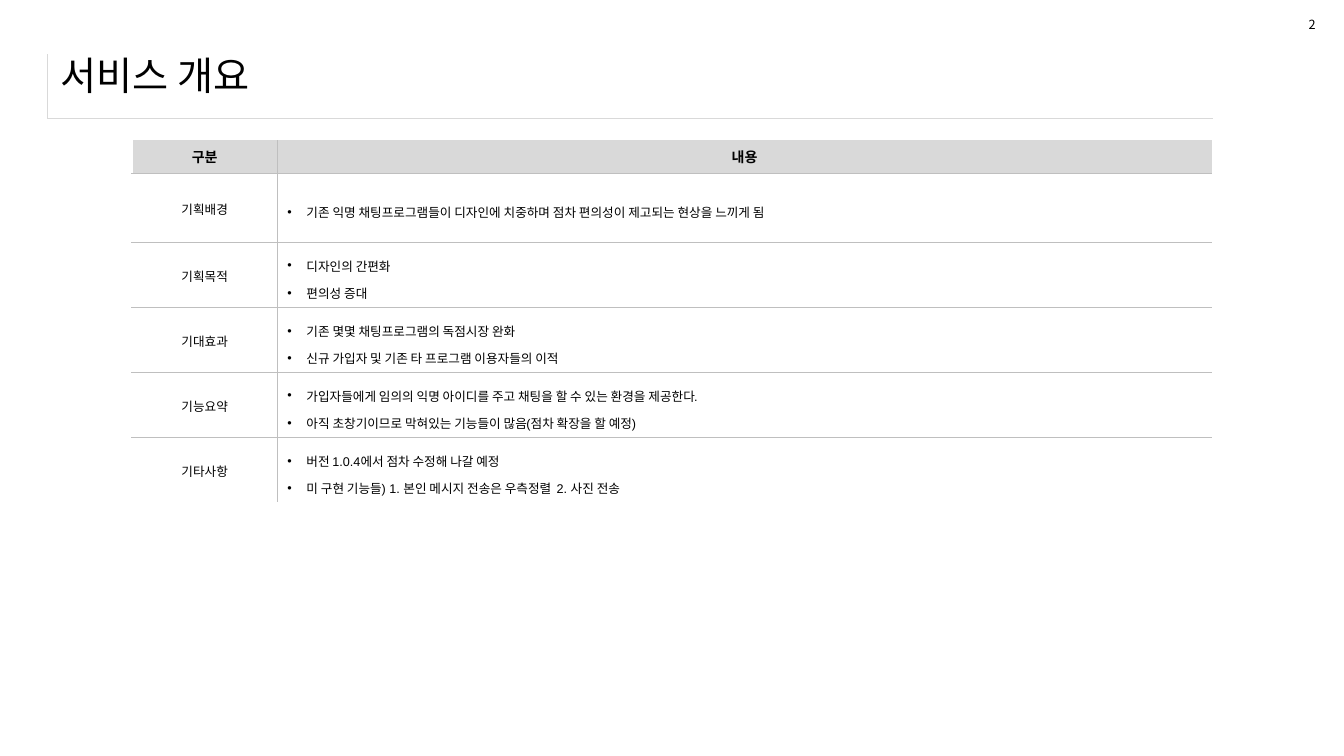
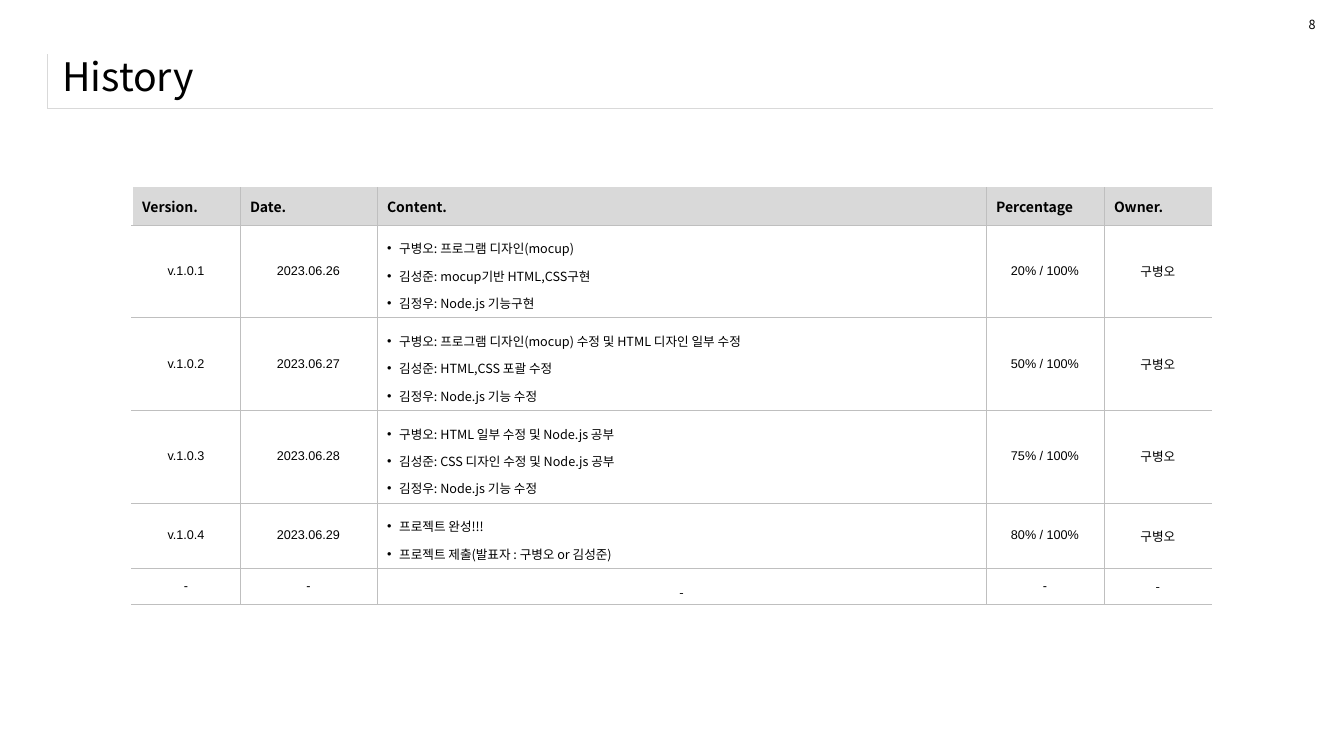
from lxml.etree import SubElement
from pptx import Presentation
from pptx.dml.color import RGBColor
from pptx.enum.text import MSO_ANCHOR, PP_ALIGN
from pptx.oxml.ns import qn
from pptx.util import Inches, Pt

# Shared style
INK, RULE, GRID, HEADER, PAPER = "000000", "D9D9D9", "BFBFBF", "D9D9D9", "FFFFFF"
SANS, ARIAL = "Noto Sans CJK KR", "Arial"
LEFT, CENTER, JUSTIFY = PP_ALIGN.LEFT, PP_ALIGN.CENTER, PP_ALIGN.JUSTIFY
TABLE_LEFT = 1.31
FRAME_LEFT, FRAME_TOP, FRAME_WIDTH = 0.47, 0.54, 11.56

# Content: a list in a cell is bulleted, a string is centred
OVERVIEW = {
    "title": "서비스 개요", "title_box": (0.5, 0.41, 12.49, 0.67),
    "page": "2", "frame_height": 0.63,
    "top": 1.39, "widths": [1.44, 9.27],
    "heights": [0.33, 0.68, 0.65, 0.64, 0.65, 0.64],
    "fonts": [ARIAL, ARIAL], "header_align": CENTER, "label_spacing": 1.2,
    "bullet_indent": 0.19, "bullet_align": JUSTIFY, "closed": False,
    "rows": [
        ("구분", "내용"),
        ("기획배경", ["기존 익명 채팅프로그램들이 디자인에 치중하며 점차 편의성이 제고되는 현상을 느끼게 됨"]),
        ("기획목적", ["디자인의 간편화", "편의성 증대"]),
        ("기대효과", ["기존 몇몇 채팅프로그램의 독점시장 완화",
                  "신규 가입자 및 기존 타 프로그램 이용자들의 이적"]),
        ("기능요약", ["가입자들에게 임의의 익명 아이디를 주고 채팅을 할 수 있는 환경을 제공한다.",
                  "아직 초창기이므로 막혀있는 기능들이 많음(점차 확장을 할 예정)"]),
        ("기타사항", ["버전 1.0.4에서 점차 수정해 나갈 예정",
                  "미 구현 기능들) 1. 본인 메시지 전송은 우측정렬  2. 사진 전송"]),
    ],
}
HISTORY = {
    "title": "History", "title_box": (0.52, 0.44, 12.49, 0.63),
    "page": "8", "frame_height": 0.53,
    "top": 1.86, "widths": [1.07, 1.36, 6.04, 1.17, 1.07],
    "heights": [0.37, 0.92, 0.92, 0.92, 0.65, 0.35],
    "fonts": [ARIAL, ARIAL, SANS, ARIAL, SANS], "header_align": LEFT, "label_spacing": 1,
    "bullet_indent": 0.12, "bullet_align": LEFT, "closed": True,
    "rows": [
        ("Version.", "Date.", "Content.", "Percentage", "Owner."),
        ("v.1.0.1", "2023.06.26",
         ["구병오: 프로그램 디자인(mocup)", "김성준: mocup기반 HTML,CSS구현", "김정우: Node.js 기능구현"],
         "20% / 100%", "구병오"),
        ("v.1.0.2", "2023.06.27",
         ["구병오: 프로그램 디자인(mocup) 수정 및 HTML 디자인 일부 수정",
          "김성준: HTML,CSS 포괄 수정", "김정우: Node.js 기능 수정"],
         "50% / 100%", "구병오"),
        ("v.1.0.3", "2023.06.28",
         ["구병오: HTML 일부 수정 및 Node.js 공부", "김성준: CSS 디자인 수정 및 Node.js 공부",
          "김정우: Node.js 기능 수정"],
         "75% / 100%", "구병오"),
        ("v.1.0.4", "2023.06.29",
         ["프로젝트 완성!!!", "프로젝트 제출(발표자 : 구병오 or 김성준)"],
         "80% / 100%", "구병오"),
        ("-", "-", "-", "-", "-"),
    ],
}


def color(value):
    return RGBColor.from_string(value)


def write(frame, lines, size=9, font=SANS, bold=False, align=LEFT, spacing=1, indent=None):
    """Fill a text frame, one paragraph a line; an indent adds bullets."""
    for i, line in enumerate(lines):
        para = frame.add_paragraph() if i else frame.paragraphs[0]
        para.alignment, para.line_spacing = align, spacing
        if indent:
            props = para._p.get_or_add_pPr()
            props.set("marL", str(Inches(indent)))
            props.set("indent", str(-Inches(indent)))
            SubElement(props, qn("a:buFont"), typeface=ARIAL)
            SubElement(props, qn("a:buChar"), char="•")
        run = para.add_run()
        run.text = line
        run.font.size, run.font.bold, run.font.name = Pt(size), bold, font
        run.font.color.rgb = color(INK)
        run_props = run._r.get_or_add_rPr()
        run_props.set("kern", "0")
        SubElement(run_props, qn("a:ea"), typeface=SANS)


def add_text(slide, box, text, wrap=True, anchor=MSO_ANCHOR.TOP, **style):
    frame = slide.shapes.add_textbox(*map(Inches, box)).text_frame
    frame.word_wrap, frame.vertical_anchor = wrap, anchor
    write(frame, [text], **style)


def add_table(slide, left, top, widths, heights):
    area = (left, top, sum(widths), sum(heights))
    table = slide.shapes.add_table(len(heights), len(widths), *map(Inches, area)).table
    table.first_row = table.horz_banding = False
    for column, width in zip(table.columns, widths):
        column.width = Inches(width)
    for row, height in zip(table.rows, heights):
        row.height = Inches(height)
    return table


def style_cell(cell, fill=None, **sides):
    """Each side is (colour, points); a side left out or None has no line."""
    props = cell._tc.get_or_add_tcPr()
    for side in "LRTB":
        line = SubElement(props, qn(f"a:ln{side}"))
        if sides.get(side):
            value, width = sides[side]
            line.set("w", str(Pt(width)))
            paint = SubElement(line, qn("a:solidFill"))
            SubElement(paint, qn("a:srgbClr"), val=value)
        else:
            SubElement(line, qn("a:noFill"))
    if fill:
        cell.fill.solid()
        cell.fill.fore_color.rgb = color(fill)
    else:
        cell.fill.background()


def add_grid(slide, page):
    rows, widths = page["rows"], page["widths"]
    table = add_table(slide, TABLE_LEFT, page["top"], widths, page["heights"])
    last_row, last_col = len(rows) - 1, len(widths) - 1
    thin = (GRID, 0.25)
    for r, row in enumerate(rows):
        for c, content in enumerate(row):
            cell = table.cell(r, c)
            cell.vertical_anchor = MSO_ANCHOR.MIDDLE
            style_cell(cell, fill=None if r else HEADER,
                       L=thin if c else (PAPER, 1),
                       R=thin if c < last_col else None,
                       T=thin if r else None,
                       B=thin if r < last_row or page["closed"] else None)
            if r == 0:
                write(cell.text_frame, [content], size=10, bold=True, align=page["header_align"])
            elif isinstance(content, list):
                write(cell.text_frame, content, font=page["fonts"][c], spacing=1.5,
                      align=page["bullet_align"], indent=page["bullet_indent"])
            else:
                # The wide text column keeps its open line spacing
                spacing = 1.5 if widths[c] == max(widths) else page["label_spacing"]
                write(cell.text_frame, [content], font=page["fonts"][c], align=CENTER,
                      spacing=spacing)


def add_page(deck, page):
    slide = deck.slides.add_slide(deck.slide_layouts[6])
    # Title in its frame, a one-cell table with left and bottom lines
    frame = add_table(slide, FRAME_LEFT, FRAME_TOP, [FRAME_WIDTH], [page["frame_height"]])
    style_cell(frame.cell(0, 0), L=(RULE, 0.25), B=(RULE, 0.25))
    add_text(slide, page["title_box"], page["title"], size=28, anchor=MSO_ANCHOR.MIDDLE)
    # Table and page number
    add_grid(slide, page)
    add_text(slide, (12.88, 0.12, 0.27, 0.25), page["page"], wrap=False)


def main():
    deck = Presentation()
    deck.slide_width, deck.slide_height = Inches(13.33), Inches(7.5)
    for page in (OVERVIEW, HISTORY):
        add_page(deck, page)
    deck.save("out.pptx")


if __name__ == "__main__":
    main()
